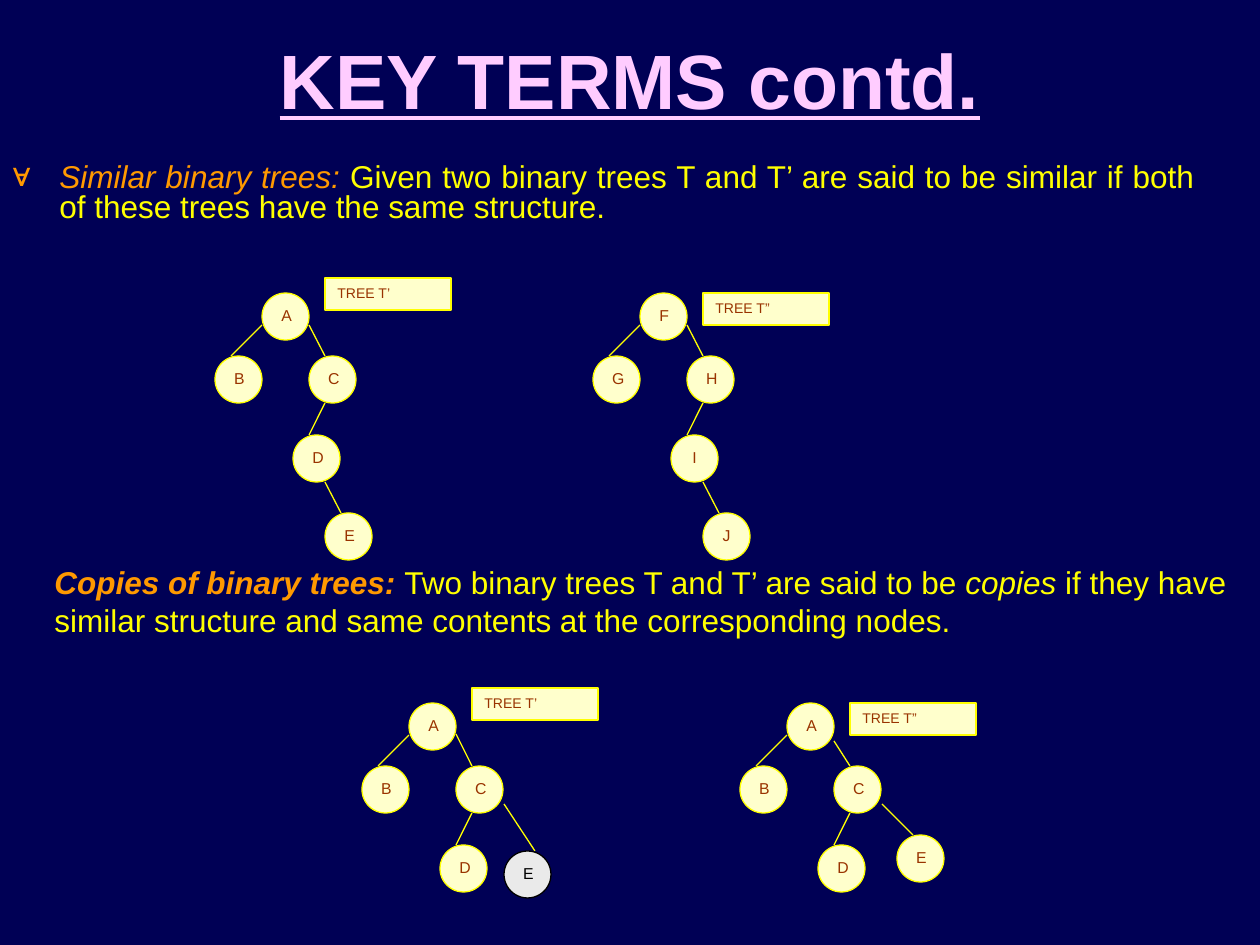
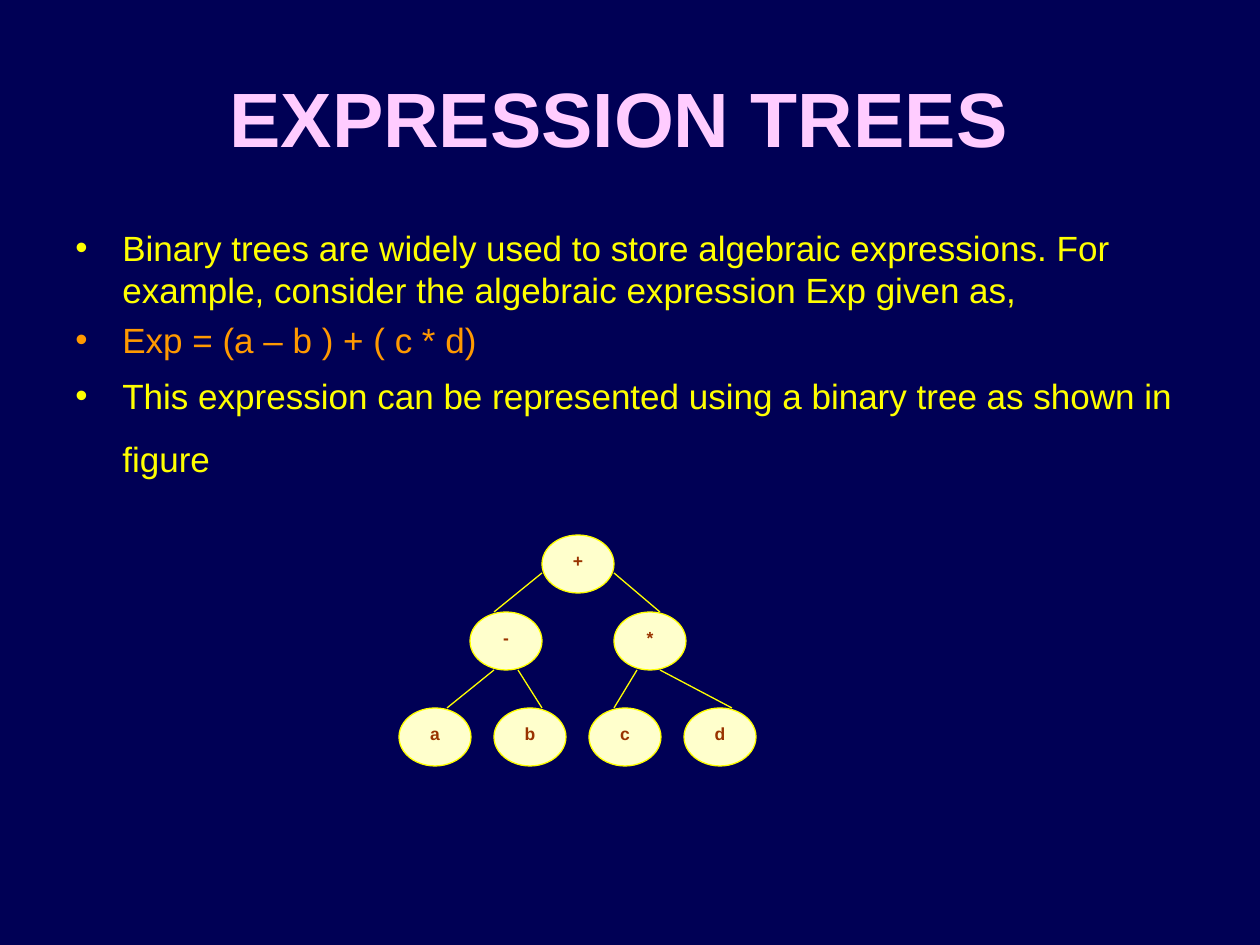
from lxml import etree
from pptx import Presentation
from pptx import util as u
from pptx.dml.color import RGBColor
from pptx.enum import shapes, text
from pptx.oxml.ns import qn

PX = 914400 / 126
INK = {
    "back": "000055", "title": "FFCCFF", "term": "FF9900", "body": "FFFF00",
    "node": "FFFFCC", "edge": "FFFF00", "label": "993300",
    "gray": "EAEAEA", "black": "000000",
}
FACE = "Arial"
ALIGN = text.PP_ALIGN


def px(*nums):
    return [u.Emu(round(n * PX)) for n in nums]


def rgb(key):
    return RGBColor.from_string(INK[key])


class Deck:
    def __init__(self):
        self.prs = Presentation()
        self.prs.slide_width, self.prs.slide_height = px(1260, 945)

    def page(self):
        self.slide = self.prs.slides.add_slide(self.prs.slide_layouts[6])
        fill = self.slide.background.fill
        fill.solid()
        fill.fore_color.rgb = rgb("back")

    def font(self, para, size, ink=None, bold=False):
        font = para.font
        font.name, font.size, font.bold = FACE, u.Pt(size), bold
        if ink:
            font.color.rgb = rgb(ink)
        return font

    def box(self, *area):
        frame = self.slide.shapes.add_textbox(*px(*area)).text_frame
        frame.word_wrap = True
        return frame

    def title(self, words, top, line=False):
        frame = self.box(63, top, 1134, 158)
        frame.vertical_anchor = text.MSO_ANCHOR.MIDDLE
        para = frame.paragraphs[0]
        para.text, para.alignment = words, ALIGN.CENTER
        self.font(para, 44, "title", True).underline = line

    def bullet(self, para, mark, ink):
        prop = para._p.get_or_add_pPr()
        left = px(47)[0]
        prop.set("marL", str(left))
        prop.set("indent", str(-left))
        tint = etree.SubElement(prop, qn("a:buClr"))
        etree.SubElement(tint, qn("a:srgbClr")).set("val", INK[ink])
        etree.SubElement(prop, qn("a:buFont")).set("typeface", FACE)
        etree.SubElement(prop, qn("a:buChar")).set("char", mark)

    def mixed(self, para, size, runs):
        self.font(para, size)
        for words, ink, bold, slant in runs:
            run = para.add_run()
            run.text = words
            run.font.color.rgb = rgb(ink)
            run.font.bold, run.font.italic = bold, slant

    def shape(self, kind, area, words, size, fill="node", line="edge",
              ink="label", bold=False, align=ALIGN.CENTER):
        shape = self.slide.shapes.add_shape(kind, *px(*area))
        shape.shadow.inherit = False
        shape.fill.solid()
        shape.fill.fore_color.rgb = rgb(fill)
        shape.line.color.rgb = rgb(line)
        shape.line.width = u.Pt(0.75)
        frame = shape.text_frame
        frame.word_wrap = True
        frame.vertical_anchor = text.MSO_ANCHOR.TOP
        para = frame.paragraphs[0]
        para.text, para.alignment = words, align
        self.font(para, size, ink, bold)

    def tag(self, words, x, y):
        self.shape(shapes.MSO_SHAPE.RECTANGLE, (x, y, 126, 32), words, 8,
                   align=ALIGN.LEFT)

    def edge(self, *ends):
        line = self.slide.shapes.add_connector(
            shapes.MSO_CONNECTOR.STRAIGHT, *px(*ends))
        line.line.color.rgb = rgb("edge")
        line.line.width = u.Pt(0.75)
        etree.SubElement(line._element.spPr, qn("a:effectLst"))

    def tree(self, x, y, nodes, edges, wide=47, high=47, size=9, bold=False,
             odd=None):
        for x1, y1, x2, y2 in edges:
            self.edge(x + x1, y + y1, x + x2, y + y2)
        for name, (dx, dy) in nodes:
            look = dict(fill="gray", line="black", ink="black") if name == odd else {}
            self.shape(shapes.MSO_SHAPE.OVAL, (x + dx, y + dy, wide, high),
                       name, size, bold=bold, **look)


def terms(deck):
    deck.page()
    deck.title("KEY TERMS contd.", 0, True)
    para = deck.box(0, 158, 1207, 84).paragraphs[0]
    para.alignment, para.line_spacing = ALIGN.JUSTIFY, 0.8
    deck.bullet(para, "∀", "term")
    deck.mixed(para, 18, [
        ("Similar binary trees: ", "term", False, True),
        ("Given two binary trees T and T’ are said to be similar if both of "
         "these trees have the same structure. ", "body", False, False)])

    top = [(0, 0), (-47, 63), (47, 63), (31, 142)]
    left, down = (0, 32, -31, 63), (63, 110, 47, 142)
    chain = [left, (47, 32, 63, 63), down, (63, 189, 79, 220)]
    for x, names, tag, y in ((262, "ABCDE", "TREE T’", 278),
                             (640, "FGHIJ", "TREE T”", 293)):
        deck.tree(x, 293, zip(names, top + [(63, 220)]), chain)
        deck.tag(tag, x + 63, y)

    para = deck.box(42, 557, 1218, 88).paragraphs[0]
    deck.mixed(para, 18, [
        ("Copies of binary trees: ", "term", True, True),
        ("Two binary trees T and T’ are said to be ", "body", False, False),
        ("copies ", "body", False, True),
        ("if they have similar structure and same contents at the "
         "corresponding nodes.", "body", False, False)])

    for x, last, start, end, odd, tag, y in (
            (409, (95, 148), 31, 148, "E", "TREE T’", 688),
            (787, (110, 132), 38, 132, None, "TREE T”", 703)):
        fork = [left, (47, start, 63, 63), down, (95, 101, 126, end)]
        deck.tree(x, 703, zip("ABCDE", top + [last]), fork, odd=odd)
        deck.tag(tag, x + 63, y)


def exprs(deck):
    deck.page()
    deck.title("EXPRESSION TREES ", 38)
    frame = deck.box(63, 220, 1134, 318)
    rows = [
        ("Binary trees are widely used to store algebraic expressions. For "
         "example, consider the algebraic expression Exp given as,", "body", 0),
        ("Exp = (a – b ) + ( c * d)", "term", 5),
        ("This expression can be represented using a binary tree as shown in "
         "figure", "body", 8)]
    for i, (words, ink, gap) in enumerate(rows):
        para = frame.add_paragraph() if i else frame.paragraphs[0]
        if gap:
            para.space_before = u.Pt(gap)
        deck.bullet(para, "•", ink)
        para.text = words
        deck.font(para, 20, ink)
    tail = para.add_run()
    tail.text, tail.font.size = " ", u.Pt(32)

    nodes = [("+", (0, 0)), ("-", (-72, 77)), ("*", (72, 77))]
    nodes += [(name, (95 * i - 143, 173)) for i, name in enumerate("abcd")]
    edges = [(0, 38, -48, 77), (72, 38, 118, 77),
             (-48, 135, -95, 173), (-24, 135, 0, 173),
             (95, 135, 72, 173), (118, 135, 190, 173)]
    deck.tree(542, 535, nodes, edges, 72, 58, 10, True)


def main():
    deck = Deck()
    terms(deck)
    exprs(deck)
    deck.prs.save("out.pptx")


if __name__ == "__main__":
    main()
